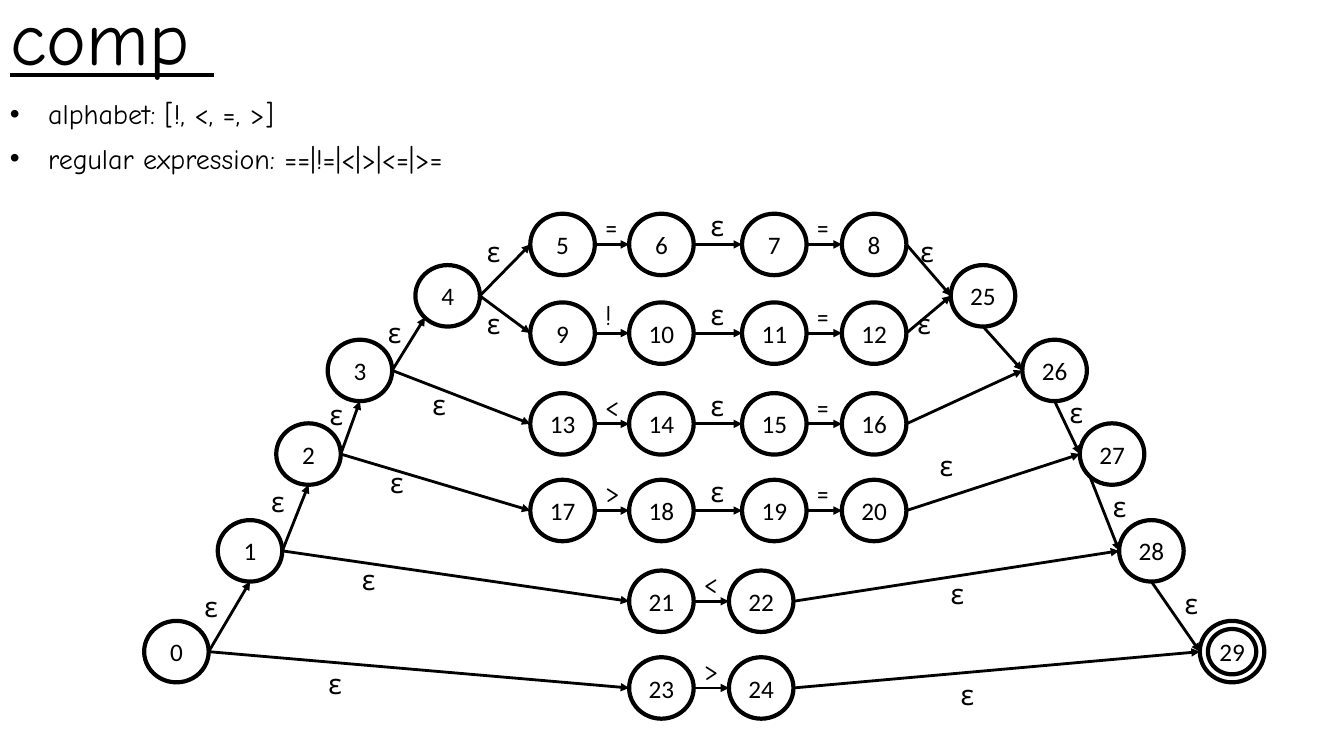
from lxml.etree import SubElement
from pptx import Presentation
from pptx.dml.color import RGBColor
from pptx.enum.shapes import MSO_CONNECTOR as CONN, MSO_SHAPE as SHAPE
from pptx.enum.text import MSO_ANCHOR as ANCHOR, MSO_AUTO_SIZE as AUTO, PP_ALIGN as ALIGN
from pptx.oxml.ns import qn
from pptx.util import Inches, Pt

COLORS = {"ink": "000000"}
HAND, PLAIN = "Comic Neue", "Calibri"
NODE_W, NODE_H = 0.64, 0.61
FINAL = 29

WIDE_COLS, SHORT_COLS = (5.26, 6.24, 7.36, 8.35), (6.24, 7.23)
CHAINS = [
    (5, 2.12, WIDE_COLS, "=ε="),
    (9, 3, WIDE_COLS, "!ε="),
    (13, 3.9, WIDE_COLS, "<ε="),
    (17, 4.76, WIDE_COLS, ">ε="),
    (21, 5.66, SHORT_COLS, "<"),
    (23, 6.52, SHORT_COLS, ">"),
]
BRANCH_TOPS = (6.16, 5.16, 4.2, 3.37, 2.63)
ENTRY_LEFTS = (1.43, 2.16, 2.74, 3.25, 4.12)
EXIT_LEFTS = (11.9, 11.1, 10.71, 10.14, 9.43)

PORTS = {
    "top": (0.5, 0),
    "left": (0, 0.5),
    "bottom": (0.5, 1),
    "right": (1, 0.5),
    "lower left": (0.15, 0.85),
}
SPINE = [
    (0, "right", 1, "bottom"),
    (1, "right", 2, "bottom"),
    (2, "right", 3, "bottom"),
    (3, "right", 4, "lower left"),
    (25, "bottom", 26, "left"),
    (26, "bottom", 27, "left"),
    (27, "lower left", 28, "left"),
    (28, "bottom", 29, "left"),
]
FORKS = [(4, 5), (4, 9), (3, 13), (2, 17), (1, 21), (0, 23)]
JOINS = [(8, 25), (12, 25), (16, 26), (20, 27), (22, 28), (24, 29)]
EPSILONS = [
    (1.93, 5.84), (2.59, 4.79), (3.17, 3.93), (3.75, 3.12), (4.73, 2.31),
    (4.73, 3.03), (4.19, 3.83), (3.77, 4.61), (3.49, 5.57), (3.16, 6.6),
    (9.03, 2.31), (9, 3.03), (10.51, 3.91), (9.22, 4.44), (10.94, 4.84),
    (9.33, 5.71), (11.65, 5.81), (9.43, 6.71),
]


def ink():
    """Return the drawing colour."""
    return RGBColor.from_string(COLORS["ink"])


def write(tf, text, size=20, font=HAND, align=ALIGN.LEFT, anchor=ANCHOR.TOP,
          spacing=0.9, underline=None, bullet=False):
    """Fill a text frame with one formatted paragraph per line of text."""
    tf.word_wrap = True
    tf.auto_size = AUTO.NONE
    tf.vertical_anchor = anchor
    for i, line in enumerate(text.split("\n")):
        p = tf.add_paragraph() if i else tf.paragraphs[0]
        if bullet:
            pPr = p._p.get_or_add_pPr()
            pPr.set("marL", str(Inches(0.38)))
            pPr.set("indent", str(-Inches(0.38)))
            SubElement(pPr, qn("a:buFont"), typeface="Arial")
            SubElement(pPr, qn("a:buChar"), char="•")
        p.alignment = align
        p.line_spacing = spacing
        p.space_before = Pt(10 if i else 0)
        r = p.add_run()
        r.text = line
        r.font.size, r.font.name = Pt(size), font
        r.font.bold, r.font.underline = False, underline
        r.font.color.rgb = ink()


def add_text(s, text, left, top, width=0.5, height=0.61, **fmt):
    """Add a text box."""
    box = s.shapes.add_textbox(*map(Inches, (left, top, width, height)))
    write(box.text_frame, text, **fmt)


def add_circle(s, left, top, width=NODE_W, height=NODE_H):
    """Add an outlined ellipse without fill."""
    sp = s.shapes.add_shape(SHAPE.OVAL, *map(Inches, (left, top, width, height)))
    sp.shadow.inherit = False
    sp.fill.background()
    sp.line.color.rgb = ink()
    sp.line.width = Pt(3)
    return sp


def add_state(s, number, left, top):
    """Add a numbered state of the automaton."""
    tf = add_circle(s, left, top).text_frame
    write(tf, str(number), size=18, font=PLAIN, align=ALIGN.CENTER,
          anchor=ANCHOR.MIDDLE, spacing=1)
    tf.margin_left = tf.margin_right = 0


def port(place, side):
    """Return the point where an arrow meets a state."""
    fx, fy = PORTS[side]
    return Inches(place[0] + fx * NODE_W), Inches(place[1] + fy * NODE_H)


def add_arrow(s, start, end):
    """Add a straight arrow between two points."""
    line = s.shapes.add_connector(CONN.STRAIGHT, *start, *end)
    line.line.color.rgb = ink()
    line.line.width = Pt(2)
    SubElement(line.line._get_or_add_ln(), qn("a:tailEnd"), type="triangle")
    SubElement(line._element.spPr, qn("a:effectLst"))


def place_states():
    """Map each state number to its left and top."""
    places = {}
    for i, top in enumerate(BRANCH_TOPS):
        places[i] = ENTRY_LEFTS[i], top
        places[FINAL - i] = EXIT_LEFTS[i], top
    for first, top, cols, _ in CHAINS:
        places.update({first + i: (left, top) for i, left in enumerate(cols)})
    return places


def add_automaton(s):
    """Draw the states, transitions and labels."""
    places = place_states()
    for number, place in sorted(places.items()):
        add_state(s, number, *place)
    left, top = places[FINAL]
    add_circle(s, left + 0.08, top + 0.08, NODE_W - 0.16, NODE_H - 0.16)

    edges = SPINE + [(a, "right", b, "left") for a, b in FORKS + JOINS]
    for first, top, cols, symbols in CHAINS:
        for i, symbol in enumerate(symbols):
            edges.append((first + i, "right", first + i + 1, "left"))
            nudge = 0.07 if symbol == "ε" else 0
            add_text(s, symbol, cols[i] + NODE_W + nudge, top - 0.06)
    for a, side_a, b, side_b in edges:
        add_arrow(s, port(places[a], side_a), port(places[b], side_b))
    for left, top in EPSILONS:
        add_text(s, "ε", left, top)


def main():
    """Build and save the slide."""
    prs = Presentation()
    prs.slide_width, prs.slide_height = Inches(13.33), Inches(7.5)
    s = prs.slides.add_slide(prs.slide_layouts[5])
    title = s.shapes.title
    title.left, title.top, title.width, title.height = map(Inches, (0, 0, 10, 0.86))
    write(title.text_frame, "comp ", size=54, anchor=ANCHOR.BOTTOM, underline=True)
    add_text(s, "alphabet: [!, <, =, >]\nregular expression: ==|!=|<|>|<=|>=",
             0, 0.95, 13.33, 0.86, bullet=True)
    add_automaton(s)
    prs.save("out.pptx")


if __name__ == "__main__":
    main()
